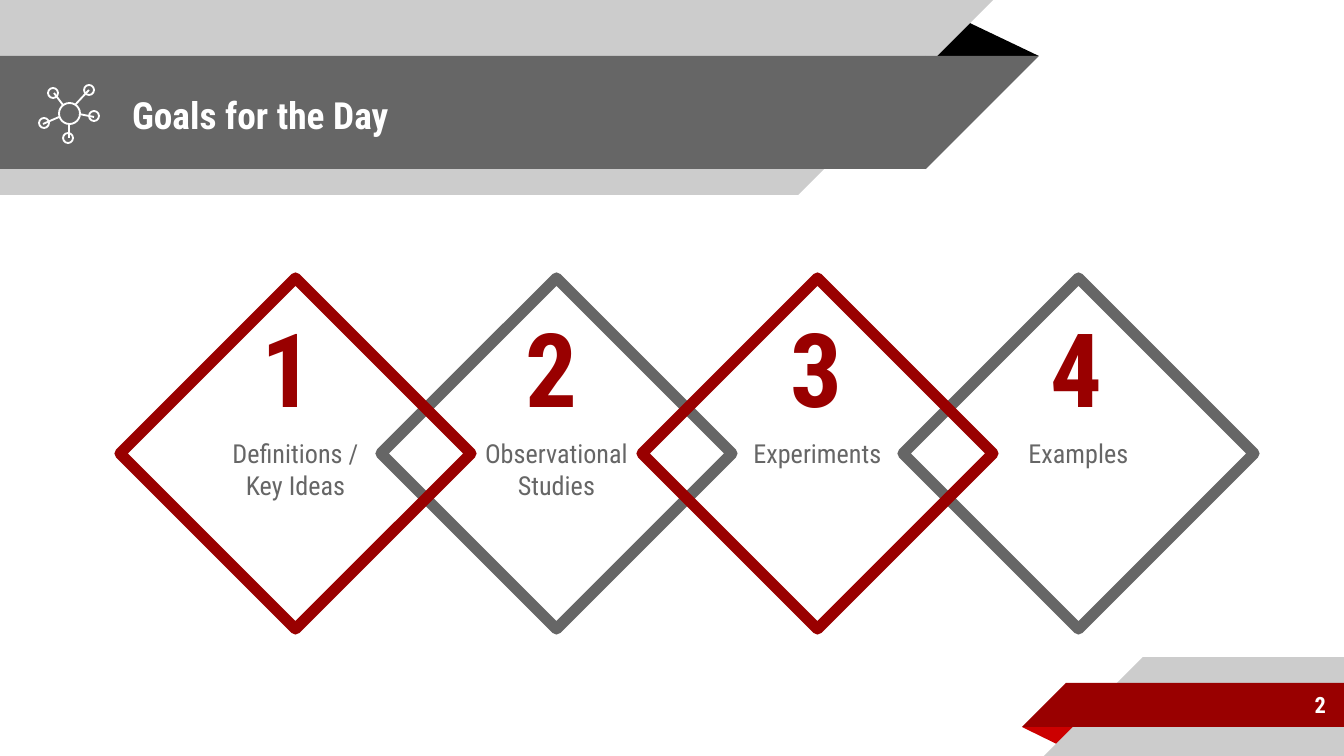
"""Builds the "Goals for the Day" slide: four linked diamonds under a ribbon header."""
from lxml.etree import SubElement
from pptx import Presentation
from pptx.dml.color import RGBColor
from pptx.enum.shapes import MSO_CONNECTOR, MSO_SHAPE
from pptx.enum.text import MSO_ANCHOR, PP_ALIGN
from pptx.oxml.ns import qn
from pptx.util import Pt

PX = 914400 / 134.4
FONT = "Roboto Condensed"
WHITE, LIGHT, GREY, BLACK = "FFFFFF", "CCCCCC", "666666", "000000"
RED, BRIGHT_RED = "990000", "CC0000"

TITLE = "Goals for the Day"
PAGE = "2"
# label, number, number left, lines, outline, fill
GOALS = [
    ("Definitions / Key Ideas", "1", 249, 2, RED, None),
    ("Observational Studies", "2", 513, 2, GREY, WHITE),
    ("Experiments", "3", 778, 1, RED, None),
    ("Examples", "4", 1038, 1, GREY, WHITE),
]
DRAW_ORDER = [1, 0, 3, 2]
DIAMOND_LEFT, DIAMOND_TOP, DIAMOND_SIZE, DIAMOND_PITCH = 120, 278, 351, 261
INSET, LINE_HEIGHT = 13, 31

HEADER_BANDS = [(0, 0, 798, 195, LIGHT), (0, 56, 926, 113, GREY)]
FOOTER_BANDS = [(1143, 657, 201, 99, LIGHT), (1066, 683, 278, 44, RED)]
HEADER_FOLD = (925, 19, 114, 37)
FOOTER_FOLD = (1022, 727, 57, 19)

ICON_CIRCLES = [(84, 85, 10), (48, 88, 10), (39, 118, 10), (63, 133, 10),
                (89, 111, 10), (59, 103, 21)]
ICON_SPOKES = [(54, 93, 63, 105), (75, 105, 89, 90), (94, 117, 79, 114),
               (69, 138, 69, 124), (43, 124, 59, 117)]


def px(*lengths):
    return [round(length * PX) for length in lengths]


def color(value):
    return RGBColor.from_string(value)


def add_shape(kind, box, fill=None, outline=None, weight=1):
    shape = slide.shapes.add_shape(kind, *px(*box))
    shape.shadow.inherit = False
    if fill:
        shape.fill.solid()
        shape.fill.fore_color.rgb = color(fill)
    else:
        shape.fill.background()
    if outline:
        shape.line.color.rgb = color(outline)
        shape.line.width = Pt(weight)
    else:
        shape.line.fill.background()
    return shape


def write(shape, text, size, ink, bold=False, align=PP_ALIGN.LEFT,
          anchor=MSO_ANCHOR.MIDDLE, top_inset=INSET):
    frame = shape.text_frame
    frame.word_wrap = True
    frame.vertical_anchor = anchor
    frame.margin_left, frame.margin_top, frame.margin_right, frame.margin_bottom = px(
        INSET, top_inset, INSET, INSET)
    paragraph = frame.paragraphs[0]
    paragraph.text = text
    paragraph.alignment = align
    font = paragraph.font
    font.name, font.size, font.bold = FONT, Pt(size), bold
    font.color.rgb = color(ink)


def add_text(box, *args, **options):
    write(slide.shapes.add_textbox(*px(*box)), *args, **options)


def add_band(left, top, width, height, fill, header):
    add_shape(MSO_SHAPE.RECTANGLE, (left, top, width, height), fill)
    slant_left = left + width if header else left - height
    slant = add_shape(MSO_SHAPE.RIGHT_TRIANGLE, (slant_left, top, height, height), fill)
    slant.rotation = 180 if header else 0
    slant._element.spPr.xfrm.set("flipH", "1")


def add_fold(box, fill, rotation):
    fold = add_shape(MSO_SHAPE.ISOSCELES_TRIANGLE, box, fill)
    fold.adjustments[0] = 0.32
    fold.rotation = rotation


def add_icon():
    for left, top, size in ICON_CIRCLES:
        add_shape(MSO_SHAPE.OVAL, (left, top, size, size), outline=WHITE)
    for ends in ICON_SPOKES:
        spoke = slide.shapes.add_connector(MSO_CONNECTOR.STRAIGHT, *px(*ends))
        spoke.line.color.rgb = color(WHITE)
        spoke.line.width = Pt(1)
        SubElement(spoke._element.spPr, qn("a:effectLst"))


def add_goals():
    for index in DRAW_ORDER:
        label, number, number_left, lines, outline, fill = GOALS[index]
        left = DIAMOND_LEFT + index * DIAMOND_PITCH
        diamond = add_shape(MSO_SHAPE.DIAMOND, (left, DIAMOND_TOP, DIAMOND_SIZE, DIAMOND_SIZE),
                            fill, outline, 6)
        write(diamond, label, 14, GREY, align=PP_ALIGN.CENTER,
              top_inset=INSET + (lines - 1) * LINE_HEIGHT)
    for label, number, number_left, *style in GOALS:
        add_text((number_left, 293, 73, 148), number, 55, RED, bold=True,
                 anchor=MSO_ANCHOR.BOTTOM)


presentation = Presentation()
presentation.slide_width, presentation.slide_height = px(1344, 756)
slide = presentation.slides.add_slide(presentation.slide_layouts[6])

add_fold(HEADER_FOLD, BLACK, 0)
for band in HEADER_BANDS:
    add_band(*band, header=True)
add_fold(FOOTER_FOLD, BRIGHT_RED, 180)
for band in FOOTER_BANDS:
    add_band(*band, header=False)
add_text((119, 58, 773, 113), TITLE, 20, WHITE, bold=True)
add_text((1120, 681, 219, 47), PAGE, 12, WHITE, bold=True, align=PP_ALIGN.RIGHT)
add_icon()
add_goals()
presentation.save("out.pptx")
